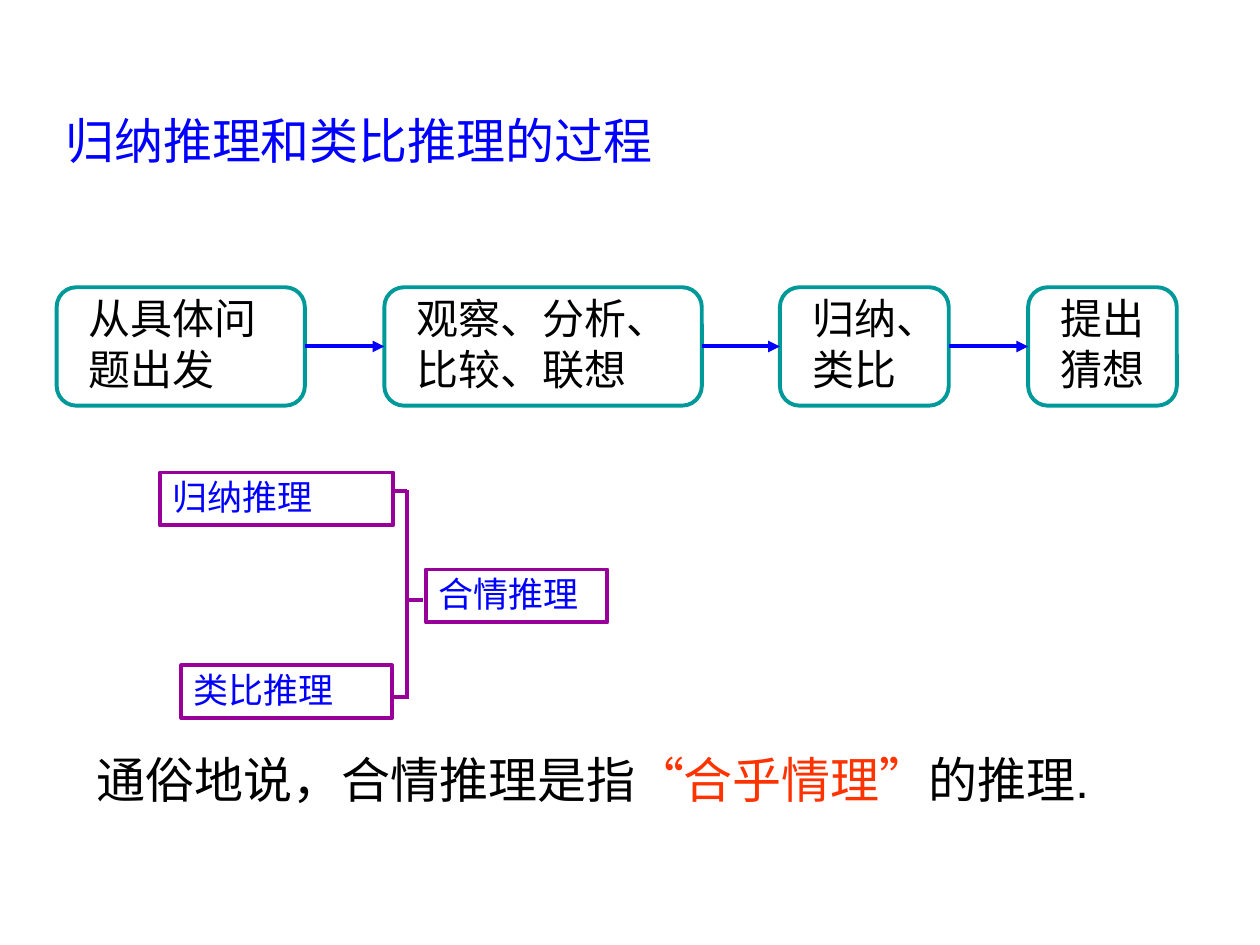
from dataclasses import dataclass

from pptx import Presentation
from pptx.dml.color import RGBColor as RGB
from pptx.enum.shapes import MSO_CONNECTOR as Conn, MSO_SHAPE as Shape
from pptx.enum.text import MSO_ANCHOR as Anchor, PP_ALIGN as Align
from pptx.oxml.ns import qn
from pptx.util import Inches, Pt
from lxml.etree import SubElement


@dataclass(frozen=True)
class Theme:
    black: RGB = RGB.from_string("000000")
    blue: RGB = RGB.from_string("0000FF")
    teal: RGB = RGB.from_string("009999")
    purple: RGB = RGB.from_string("990099")
    red: RGB = RGB.from_string("FF3300")
    serif: str = "Times New Roman"
    sans: str = "Arial"
    heading: int = 28
    step: int = 24
    label: int = 20
    line: float = 2.25


@dataclass(frozen=True)
class Box:
    text: str
    left: float
    top: float
    width: float
    height: float


@dataclass(frozen=True)
class Style:
    shape: Shape
    line: RGB
    color: RGB
    font: str
    size: int
    spacing: float
    insets: tuple[float, float, float, float]


THEME = Theme()
STEP_STYLE = Style(Shape.ROUNDED_RECTANGLE, THEME.teal, THEME.black, THEME.serif,
                   THEME.step, 1.0, (0.21, 0, 0.02, 0))
LABEL_STYLE = Style(Shape.RECTANGLE, THEME.purple, THEME.blue, THEME.sans,
                    THEME.label, 0.95, (0.1, 0.05, 0.1, 0.05))

STEP_TOP, STEP_HEIGHT = 2.28, 0.94
STEPS = [
    Box(text, left, STEP_TOP, width, STEP_HEIGHT)
    for text, left, width in [
        ("从具体问题出发", 0.45, 1.97),
        ("观察、分析、比较、联想", 3.05, 2.52),
        ("归纳、类比", 6.19, 1.34),
        ("提出猜想", 8.16, 1.18),
    ]
]
LABELS = [
    Box("归纳推理", 1.27, 3.75, 1.85, 0.42),
    Box("合情推理", 3.38, 4.52, 1.44, 0.42),
    Box("类比推理", 1.44, 5.28, 1.67, 0.42),
]
SPINE = 3.23
BRACKET = [
    (SPINE, 3.89, SPINE, 5.55),
    (3.36, 4.76, SPINE, 4.76),
    (SPINE, 3.9, 3.13, 3.9),
    (SPINE, 5.53, 3.13, 5.53),
]


def set_frame(tf, insets: tuple[float, float, float, float]) -> None:
    tf.word_wrap = True
    tf.vertical_anchor = Anchor.TOP
    tf.margin_left, tf.margin_top, tf.margin_right, tf.margin_bottom = map(Inches, insets)


def format_run(r, font: str, size: int, color: RGB) -> None:
    r.font.name = font
    r.font.size = Pt(size)
    r.font.color.rgb = color


def add_box(slide, box: Box, style: Style):
    sp = slide.shapes.add_shape(style.shape, Inches(box.left), Inches(box.top),
                                Inches(box.width), Inches(box.height))
    sp.shadow.inherit = False
    sp.fill.background()
    sp.line.color.rgb = style.line
    sp.line.width = Pt(THEME.line)
    tf = sp.text_frame
    set_frame(tf, style.insets)
    tf.text = box.text
    p = tf.paragraphs[0]
    p.alignment = Align.LEFT
    p.line_spacing = style.spacing
    format_run(p.runs[0], style.font, style.size, style.color)
    return sp


def add_text(slide, box: Box, parts: list[tuple[str, RGB]], font: str,
             spacing: float = 1.0) -> None:
    tb = slide.shapes.add_textbox(Inches(box.left), Inches(box.top),
                                  Inches(box.width), Inches(box.height))
    tf = tb.text_frame
    set_frame(tf, (0.1, 0.05, 0.1, 0.05))
    p = tf.paragraphs[0]
    p.line_spacing = spacing
    for text, color in parts:
        r = p.add_run()
        r.text = text
        format_run(r, font, THEME.heading, color)


def add_line(slide, ends: tuple[float, float, float, float], color: RGB):
    cxn = slide.shapes.add_connector(Conn.STRAIGHT, *map(Inches, ends))
    cxn.line.color.rgb = color
    cxn.line.width = Pt(THEME.line)
    SubElement(cxn._element.spPr, qn("a:effectLst"))
    return cxn


def add_arrow(slide, start, end, ends: tuple[float, float, float, float]) -> None:
    cxn = add_line(slide, ends, THEME.blue)
    cxn.begin_connect(start, 3)
    cxn.end_connect(end, 1)
    SubElement(cxn.line._get_or_add_ln(), qn("a:tailEnd"), type="triangle")


def main() -> None:
    prs = Presentation()
    prs.slide_width, prs.slide_height = Inches(10), Inches(7.5)
    slide = prs.slides.add_slide(prs.slide_layouts[6])

    title = Box("归纳推理和类比推理的过程", 0.42, 0.83, 5.83, 0.57)
    add_text(slide, title, [(title.text, THEME.blue)], THEME.serif)

    steps = [add_box(slide, box, STEP_STYLE) for box in STEPS]
    middle = STEP_TOP + STEP_HEIGHT / 2
    for i in range(len(STEPS) - 1):
        ends = (STEPS[i].left + STEPS[i].width, middle, STEPS[i + 1].left, middle)
        add_arrow(slide, steps[i], steps[i + 1], ends)

    for box in LABELS:
        add_box(slide, box, LABEL_STYLE)
    for ends in BRACKET:
        add_line(slide, ends, THEME.purple)

    summary = [("通俗地说，合情推理是指", THEME.black),
               ("“合乎情理”", THEME.red),
               ("的推理.", THEME.black)]
    add_text(slide, Box("", 0.67, 5.81, 8.27, 0.66), summary, THEME.sans, 1.2)

    prs.save("out.pptx")


if __name__ == "__main__":
    main()
